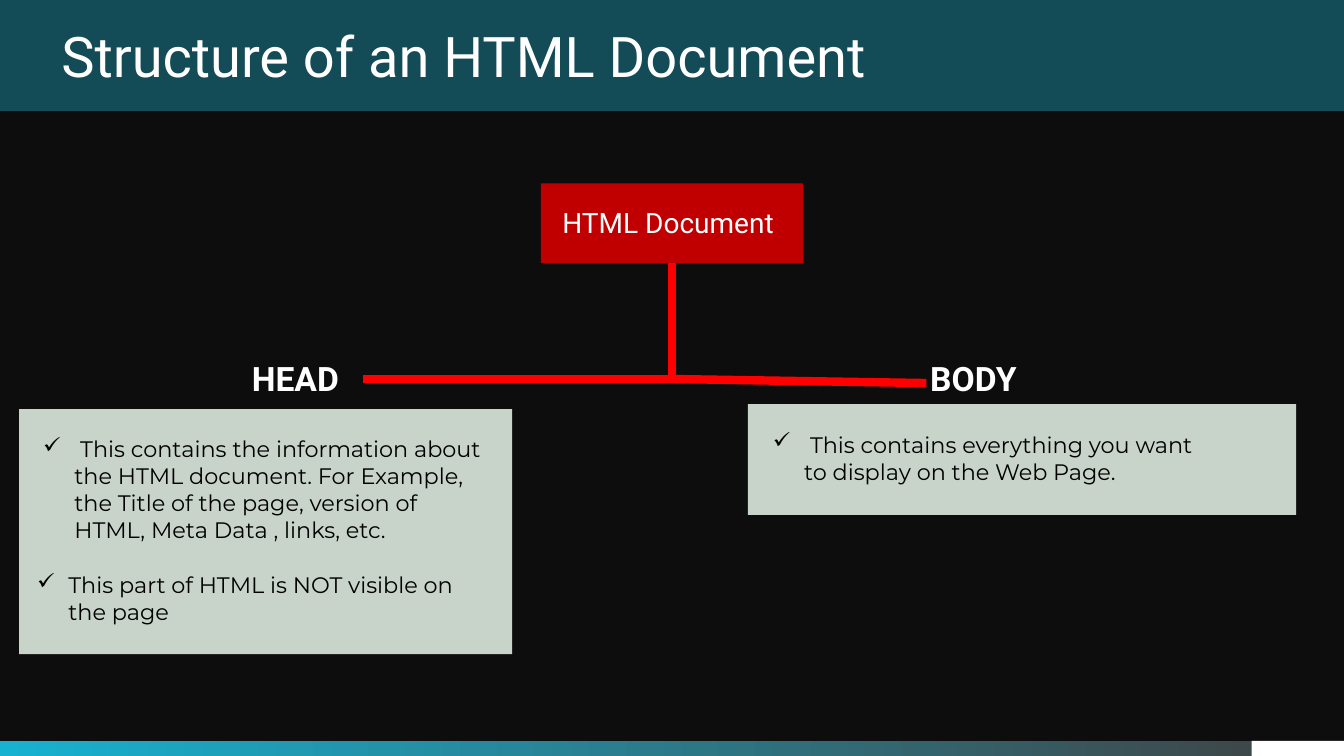
from lxml import etree
from pptx import Presentation
from pptx.dml.color import RGBColor
from pptx.enum.shapes import MSO_CONNECTOR, MSO_SHAPE
from pptx.enum.text import MSO_AUTO_SIZE, PP_ALIGN
from pptx.oxml.ns import qn
from pptx.util import Inches, Pt

RECT = MSO_SHAPE.RECTANGLE
LINE = MSO_CONNECTOR.STRAIGHT
GROW = MSO_AUTO_SIZE.SHAPE_TO_FIT_TEXT
LEFT = PP_ALIGN.LEFT

CELL = Inches(1 / 3)
COLS, ROWS = 40, 22.5
MID = COLS / 2
FORK = 11.28

WHITE, BLACK, NIGHT = "FFFFFF", "000000", "0D0D0D"
TEAL, CYAN, GRAY, SAGE = "134B56", "17B2D1", "404040", "C8D4CA"
CRIMSON, RED = "C00000", "FF0000"
HEADING, BODY = "Roboto", "Montserrat"


def color(code):
    return RGBColor.from_string(code)


def cells(*counts):
    """Turn counts of grid cells into lengths."""
    return [round(count * CELL) for count in counts]


class Board:
    """A slide on a grid of 40 columns by 22.5 rows."""

    def __init__(self, deck, back):
        self.slide = deck.slides.add_slide(deck.slide_layouts[6])
        self.shapes = self.slide.shapes
        fill = self.slide.background.fill
        fill.solid()
        fill.fore_color.rgb = color(back)

    def box(self, area, *shades):
        """Draw a rectangle; two shades make a gradient from left to right."""
        box = self.shapes.add_shape(RECT, *cells(*area))
        box.shadow.inherit = False
        box.line.fill.background()
        if len(shades) == 1:
            box.fill.solid()
            box.fill.fore_color.rgb = color(shades[0])
        else:
            box.fill.gradient()
            box.fill.gradient_angle = 0
            for spot, (stop, shade) in enumerate(zip(box.fill.gradient_stops, shades)):
                stop.position = spot
                stop.color.rgb = color(shade)
        return box

    def text(self, area, words, size, face=HEADING, shade=WHITE, bold=False, wrap=False):
        frame = self.shapes.add_textbox(*cells(*area)).text_frame
        frame.text = words
        frame.word_wrap = wrap
        frame.auto_size = GROW
        line = frame.paragraphs[0]
        line.alignment = LEFT
        font = line.runs[0].font
        font.name, font.size, font.bold = face, Pt(size), bold
        font.color.rgb = color(shade)
        return line

    def check(self, area, words):
        """Add a paragraph with a hanging check mark."""
        line = self.text(area, words, 16, BODY, BLACK, wrap=True)
        props = line._p.get_or_add_pPr()
        indent = Inches(0.31)
        props.set("marL", str(indent))
        props.set("indent", str(-indent))
        etree.SubElement(props, qn("a:buChar"), char="✓")

    def link(self, start, end, top=None):
        """Draw a thick line, hung from the bottom of a box if one is given."""
        link = self.shapes.add_connector(LINE, *cells(*start, *end))
        link.line.color.rgb = color(RED)
        link.line.width = Pt(6)
        etree.SubElement(link._element.spPr, qn("a:effectLst"))
        if top is not None:
            link.begin_connect(top, 2)


def main():
    deck = Presentation()
    deck.slide_width, deck.slide_height = cells(COLS, ROWS)
    board = Board(deck, NIGHT)

    foot = 0.45
    tab = 2.75
    board.box((0, ROWS - foot, COLS, foot), CYAN, GRAY)
    board.box((COLS - tab, ROWS - foot, tab, foot), WHITE)
    board.box((0, 0, COLS, 3.3), TEAL)
    board.text((1.53, 0.48, 31, 2.31), "Structure of an HTML Document", 40, wrap=True)

    wide = 7.8
    root = board.box((MID - wide / 2, 5.46, wide, 2.37), CRIMSON)
    board.text((16.44, 5.97, 7.44, 1.32), "HTML Document", 20)

    for area in ((0.57, 12.18, 14.67, 7.29), (22.26, 12.03, 16.32, 3.3)):
        board.box(area, SAGE)
    notes = (
        (0.99, 12.81, 3.54, " This contains the information about the HTML document. "
         "For Example, the Title of the page, version of HTML, Meta Data , links, etc."),
        (0.81, 16.86, 1.92, "This part of HTML is NOT visible on the page"),
        (22.71, 12.69, 1.92, " This contains everything you want to display on the Web Page."),
    )
    for left, top, high, words in notes:
        board.check((left, top, 13.86, high), words)

    board.link((MID, 7.83), (MID, FORK), root)
    board.link((MID, FORK), (27.57, 11.4))
    board.link((10.8, FORK), (20.25, FORK))
    for left, words in ((7.2, "HEAD"), (27.39, "BODY")):
        board.text((left, 10.5, 3.6, 1.5), words, 24, bold=True)

    deck.save("out.pptx")


if __name__ == "__main__":
    main()
